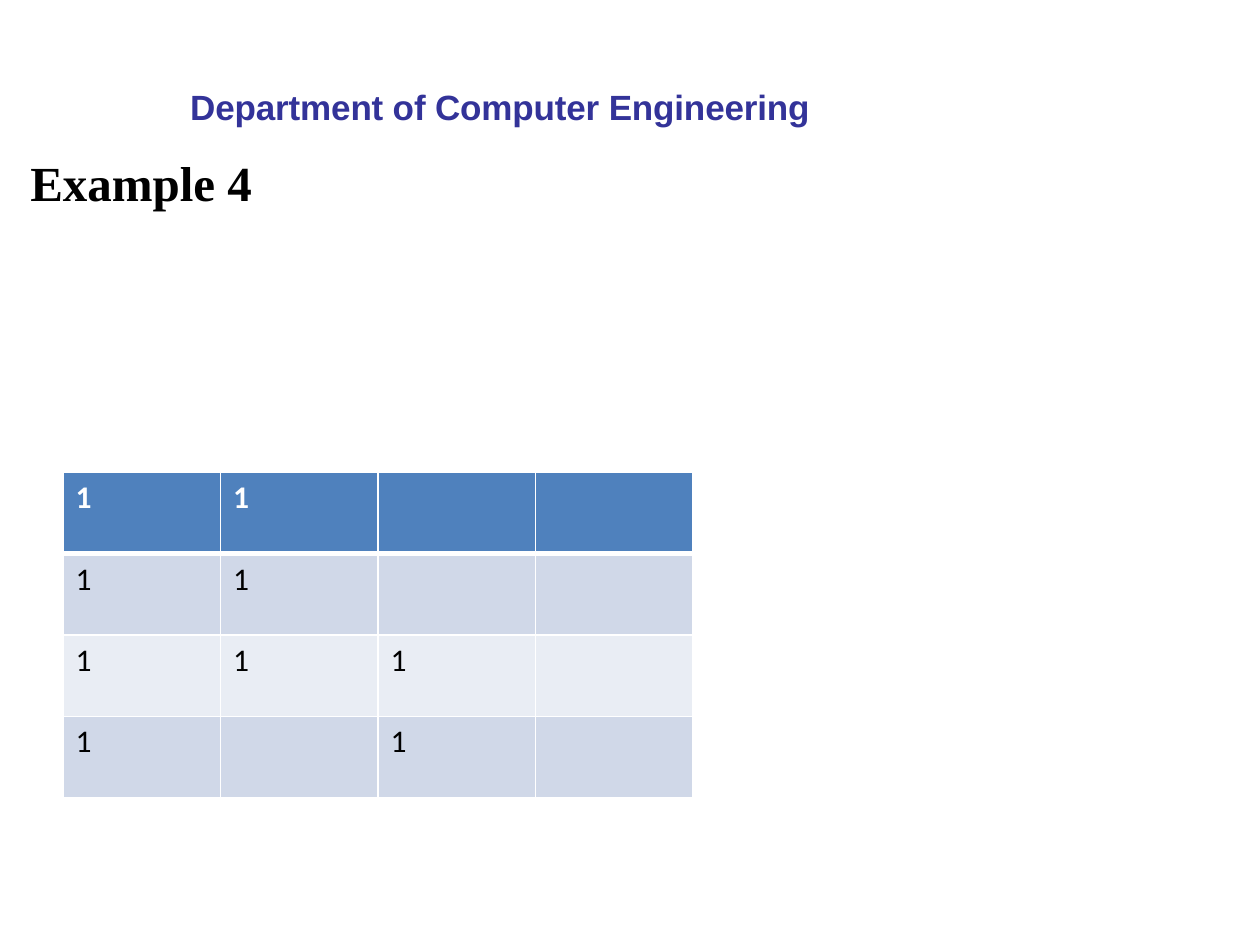
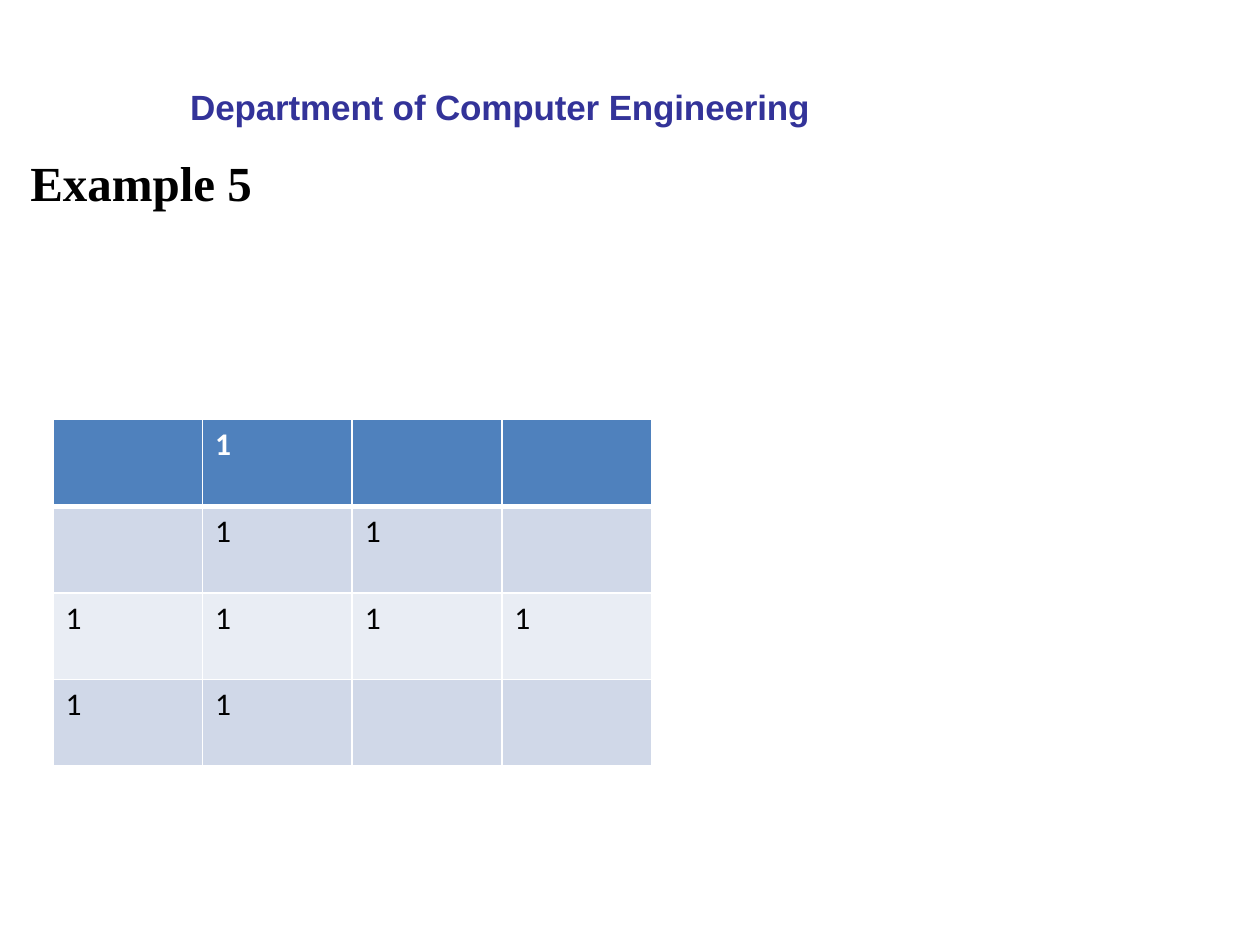
"""Build two Karnaugh map example slides."""
from dataclasses import dataclass

from lxml.etree import SubElement
from pptx import Presentation
from pptx.dml.color import RGBColor
from pptx.enum.text import MSO_ANCHOR as Anchor, MSO_AUTO_SIZE as AutoSize, PP_ALIGN as Align
from pptx.oxml.ns import qn
from pptx.slide import Slide
from pptx.table import _Cell as Cell
from pptx.text.text import TextFrame
from pptx.util import Inches, Pt


@dataclass(frozen=True)
class Theme:
    department: str = "333399"
    ink: str = "000000"
    paper: str = "FFFFFF"
    top_row: str = "4F81BD"
    bands: tuple[str, str] = ("D0D8E8", "E9EDF4")
    department_font: str = "Arial"
    title_font: str = "Times New Roman"
    map_font: str = "Calibri"
    department_size: int = 20
    title_size: int = 28
    map_size: int = 18
    thin_border: int = 1
    thick_border: int = 3


@dataclass(frozen=True)
class Example:
    title: str
    left: float
    top: float
    width: float
    height: float
    rows: tuple[str, ...]


THEME = Theme()
DEPARTMENT = "Department of Computer Engineering"
EXAMPLES = (
    Example("Example 4", 0.5, 3.75, 5, 2.58, ("11  ", "11  ", "111 ", "1 1 ")),
    Example("Example 5", 0.42, 3.33, 4.75, 2.75, (" 1  ", " 11 ", "1111", "11  ")),
)


def write(frame: TextFrame, text: str, *, font: str, size: int, color: str,
          bold: bool = True, spacing: float = 0) -> None:
    """Write one left-aligned, formatted paragraph into a text frame."""
    paragraph = frame.paragraphs[0]
    paragraph.alignment = Align.LEFT
    run = paragraph.add_run()
    run.text = text
    run.font.name = font
    run.font.size = Pt(size)
    run.font.bold = bold
    run.font.color.rgb = RGBColor.from_string(color)
    if spacing:
        run.font._element.set("spc", str(round(spacing * 100)))


def set_frame(frame: TextFrame, *, left: float = 0, top: float = 0) -> None:
    """Set the insets, wrapping and anchor of a heading's frame."""
    frame.margin_left, frame.margin_top = Inches(left), Inches(top)
    frame.margin_right = frame.margin_bottom = 0
    frame.word_wrap = True
    frame.auto_size = AutoSize.SHAPE_TO_FIT_TEXT
    frame.vertical_anchor = Anchor.TOP


def set_borders(cell: Cell, row: int) -> None:
    """Draw the cell's white borders, thick below the top row."""
    thick_side = {0: "lnB", 1: "lnT"}.get(row)
    properties = cell._tc.get_or_add_tcPr()
    for position, side in enumerate(("lnL", "lnR", "lnT", "lnB")):
        width = THEME.thick_border if side == thick_side else THEME.thin_border
        border = SubElement(properties, qn(f"a:{side}"), w=str(Pt(width)))
        SubElement(SubElement(border, qn("a:solidFill")), qn("a:srgbClr"), val=THEME.paper)
        properties.insert(position, border)


def add_title(slide: Slide, text: str) -> None:
    """Place the example's name in the title placeholder."""
    title = slide.shapes.title
    title.left, title.top = Inches(0.24), Inches(1.21)
    title.width, title.height = Inches(2.97), Inches(0.47)
    set_frame(title.text_frame)
    write(title.text_frame, text, font=THEME.title_font, size=THEME.title_size, color=THEME.ink)


def add_map(slide: Slide, example: Example) -> None:
    """Draw the example's map as a table with equal rows and columns."""
    row_count, column_count = len(example.rows), len(example.rows[0])
    karnaugh_map = slide.shapes.add_table(
        row_count, column_count, Inches(example.left), Inches(example.top),
        Inches(example.width), Inches(example.height)).table
    for row, values in enumerate(example.rows):
        fill = THEME.bands[(row - 1) % 2] if row else THEME.top_row
        for column, value in enumerate(values):
            cell = karnaugh_map.cell(row, column)
            cell.fill.solid()
            cell.fill.fore_color.rgb = RGBColor.from_string(fill)
            set_borders(cell, row)
            if value.strip():
                write(cell.text_frame, value, font=THEME.map_font, size=THEME.map_size,
                      color=THEME.ink if row else THEME.paper, bold=row == 0)


def add_department(slide: Slide) -> None:
    """Add the department line shared by all slides."""
    department = slide.shapes.add_textbox(Inches(1.5), Inches(0.66), Inches(4.98), Inches(0.36))
    set_frame(department.text_frame, left=0.01, top=0.02)
    write(department.text_frame, DEPARTMENT, font=THEME.department_font,
          size=THEME.department_size, color=THEME.department, spacing=-0.1)


def main() -> None:
    """Build and save the presentation."""
    deck = Presentation()
    deck.slide_width, deck.slide_height = Inches(10), Inches(7.5)
    title_only = deck.slide_layouts.get_by_name("Title Only")
    for example in EXAMPLES:
        slide = deck.slides.add_slide(title_only)
        add_title(slide, example.title)
        add_map(slide, example)
        add_department(slide)
    deck.save("out.pptx")


if __name__ == "__main__":
    main()
